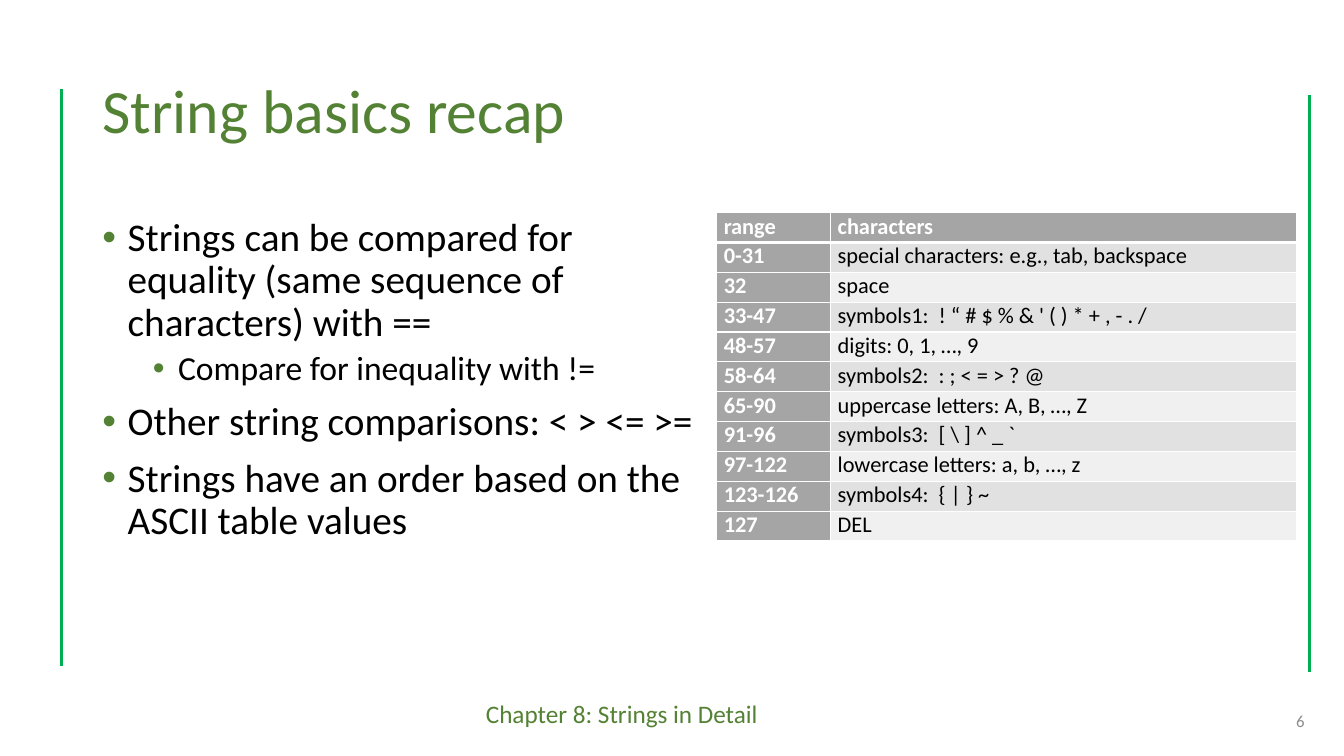
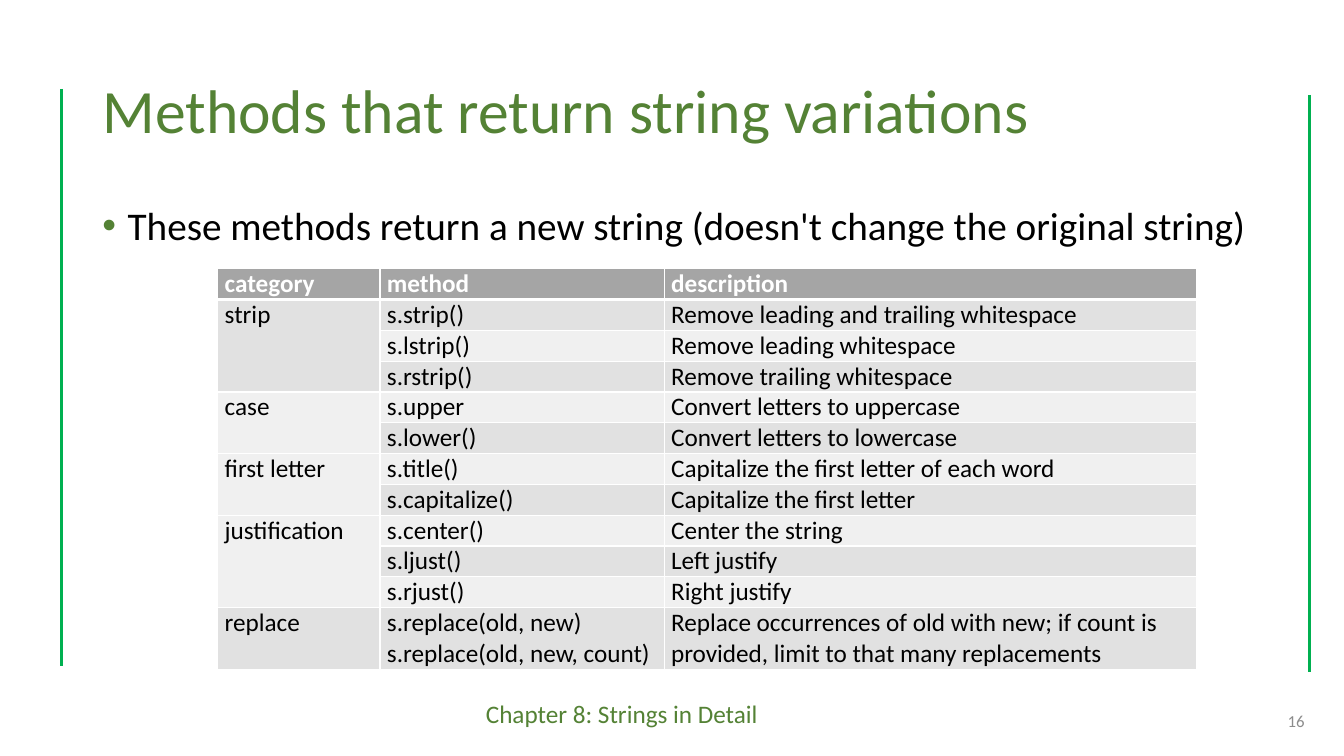
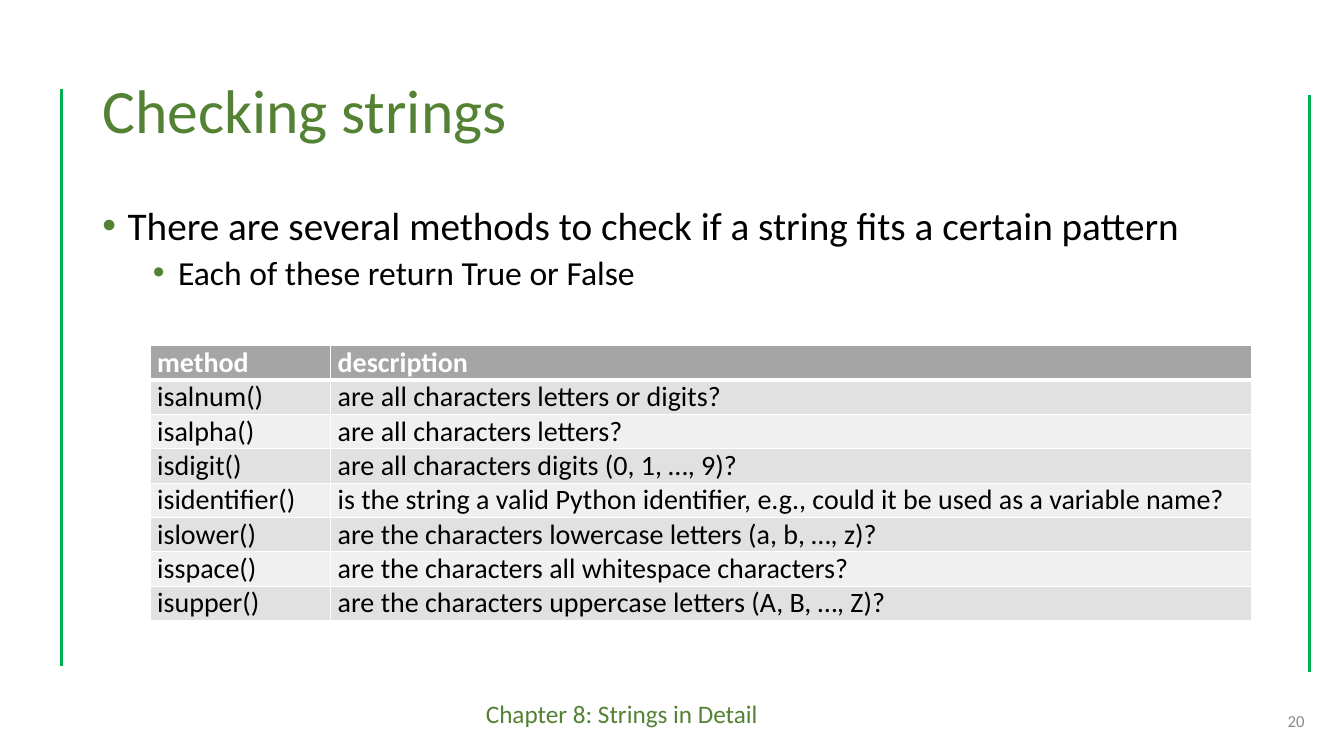
from lxml import etree
from pptx import Presentation
from pptx.dml.color import RGBColor
from pptx.enum.shapes import MSO_CONNECTOR
from pptx.enum.text import MSO_ANCHOR, MSO_AUTO_SIZE, PP_ALIGN
from pptx.oxml.ns import qn
from pptx.util import Pt

STRAIGHT = MSO_CONNECTOR.STRAIGHT
TOP, MIDDLE = MSO_ANCHOR.TOP, MSO_ANCHOR.MIDDLE
LEFT, RIGHT = PP_ALIGN.LEFT, PP_ALIGN.RIGHT
NO_FIT = MSO_AUTO_SIZE.NONE

FONT = "Calibri"
GREEN, RAIL, BLACK, WHITE = "548235", "00B050", "000000", "FFFFFF"
NUMBER_GREY, HEADER = "8C8C8C", "A5A5A5"
BANDS = ("E1E1E1", "F0F0F0")

SLIDE_W, SLIDE_H = 960, 540
TITLE_BOX = (66, 28.75, 828, 104.4)
FOOTER_BOX = (340, 495.4, 285, 29)
NUMBER_BOX = (723, 500.5, 216, 28.75)
RAILS = ((44.2, 63.5), (935.3, 67.8))
RAIL_H = 412.5
FOOTER = "Chapter 8: Strings in Detail"

LEVELS = (
    {"size": 28, "margin": 18, "before": 10},
    {"size": 24, "margin": 54, "before": 5},
)

RECAP_BULLETS = [
    (0, "Strings can be compared for equality (same sequence of characters) with =="),
    (1, "Compare for inequality with !="),
    (0, "Other string comparisons: < > <= >="),
    (0, "Strings have an order based on the ASCII table values"),
]
RECAP_ROWS = [
    ("range", "characters"),
    ("0-31", "special characters: e.g., tab, backspace"),
    ("32", "space"),
    ("33-47", "symbols1:  ! “ # $ % & ' ( ) * + , - . /"),
    ("48-57", "digits: 0, 1, …, 9"),
    ("58-64", "symbols2:  : ; < = > ? @"),
    ("65-90", "uppercase letters: A, B, …, Z"),
    ("91-96", "symbols3:  [ \\ ] ^ _ `"),
    ("97-122", "lowercase letters: a, b, …, z"),
    ("123-126", "symbols4:  { | } ~"),
    ("127", "DEL"),
]
VARIATION_BULLETS = [
    (0, "These methods return a new string (doesn't change the original string)"),
]
VARIATION_ROWS = [
    ("category", "method", "description"),
    ("strip", "s.strip()", "Remove leading and trailing whitespace"),
    ("", "s.lstrip()", "Remove leading whitespace"),
    ("", "s.rstrip()", "Remove trailing whitespace"),
    ("case", "s.upper", "Convert letters to uppercase"),
    ("", "s.lower()", "Convert letters to lowercase"),
    ("first letter", "s.title()", "Capitalize the first letter of each word"),
    ("", "s.capitalize()", "Capitalize the first letter"),
    ("justification", "s.center()", "Center the string"),
    ("", "s.ljust()", "Left justify"),
    ("", "s.rjust()", "Right justify"),
    ("replace", "s.replace(old, new)\ns.replace(old, new, count)",
     "Replace occurrences of old with new; if count is provided, "
     "limit to that many replacements"),
]
CHECK_BULLETS = [
    (0, "There are several methods to check if a string fits a certain pattern"),
    (1, "Each of these return True or False"),
]
CHECK_ROWS = [
    ("method", "description"),
    ("isalnum()", "are all characters letters or digits?"),
    ("isalpha()", "are all characters letters?"),
    ("isdigit()", "are all characters digits (0, 1, …, 9)?"),
    ("isidentifier()", "is the string a valid Python identifier, e.g., "
     "could it be used as a variable name?"),
    ("islower()", "are the characters lowercase letters (a, b, …, z)?"),
    ("isspace()", "are the characters all whitespace characters?"),
    ("isupper()", "are the characters uppercase letters (A, B, …, Z)?"),
]


def rgb(color):
    """Turn a hex string into a colour."""
    return RGBColor.from_string(color)


def add_run(p, text, size, color, bold=False):
    """Add one formatted run to a paragraph."""
    r = p.add_run()
    r.text = text
    r.font.name = FONT
    r.font.size = Pt(size)
    r.font.bold = bold
    r.font.color.rgb = rgb(color)


def place(sp, box, anchor):
    """Move a text shape to its box and set its frame."""
    sp.left, sp.top, sp.width, sp.height = map(Pt, box)
    tf = sp.text_frame
    tf.word_wrap = True
    tf.auto_size = NO_FIT
    tf.vertical_anchor = anchor
    return tf


def add_label(s, box, text, size, color, align=LEFT, anchor=TOP):
    """Add a one-line text box."""
    tf = place(s.shapes.add_textbox(*map(Pt, box)), box, anchor)
    p = tf.paragraphs[0]
    p.alignment = align
    add_run(p, text, size, color)


def add_rail(s, x, y):
    """Draw one vertical green line down from a point."""
    line = s.shapes.add_connector(STRAIGHT, Pt(x), Pt(y), Pt(x), Pt(y + RAIL_H))
    line.line.color.rgb = rgb(RAIL)
    line.line.width = Pt(2.25)
    etree.SubElement(line._element.spPr, qn("a:effectLst"))


def add_bullet(p, level):
    """Give a paragraph its level's indent and green bullet."""
    p.level = level
    p.line_spacing = 0.9
    p.space_before = Pt(LEVELS[level]["before"])
    pPr = p._p.get_or_add_pPr()
    pPr.set("marL", str(Pt(LEVELS[level]["margin"])))
    pPr.set("indent", str(Pt(-18)))
    color = etree.SubElement(pPr, qn("a:buClr"))
    etree.SubElement(color, qn("a:srgbClr"), val=GREEN)
    etree.SubElement(pPr, qn("a:buFont"), typeface="Arial")
    etree.SubElement(pPr, qn("a:buChar"), char="•")


def fill_title(s, box, text):
    """Fill the title placeholder."""
    p = place(s.shapes.title, box, MIDDLE).paragraphs[0]
    p.alignment = LEFT
    p.line_spacing = 0.9
    add_run(p, text, 44, GREEN)


def fill_body(s, box, bullets):
    """Fill the body placeholder with a bulleted list."""
    tf = place(s.placeholders[1], box, TOP)
    for i, (level, text) in enumerate(bullets):
        p = tf.add_paragraph() if i else tf.paragraphs[0]
        add_bullet(p, level)
        add_run(p, text, LEVELS[level]["size"], BLACK)


def set_borders(cell, top, bottom):
    """Draw white borders, with given top and bottom widths."""
    tcPr = cell._tc.get_or_add_tcPr()
    sides = (("L", 1), ("R", 1), ("T", top), ("B", bottom))
    for i, (side, width) in enumerate(sides):
        ln = etree.Element(qn(f"a:ln{side}"), w=str(Pt(width)))
        fill = etree.SubElement(ln, qn("a:solidFill"))
        etree.SubElement(fill, qn("a:srgbClr"), val=WHITE)
        tcPr.insert(i, ln)


def fill_cell(cell, text, size, row, head):
    """Format one table cell and write its lines."""
    cell.margin_left = cell.margin_right = Pt(5)
    cell.margin_top = cell.margin_bottom = Pt(0)
    cell.fill.solid()
    cell.fill.fore_color.rgb = rgb(HEADER if head else BANDS[(row - 1) % 2])
    set_borders(cell, 3 if row == 1 else 1, 3 if row == 0 else 1)
    for i, line in enumerate(text.split("\n") if text else []):
        tf = cell.text_frame
        p = tf.add_paragraph() if i else tf.paragraphs[0]
        add_run(p, line, size, WHITE if head else BLACK, head)


def add_grid(s, left, top, widths, row_h, size, rows, head_col=False):
    """Add a banded table; an empty first cell joins the cell above."""
    frame = s.shapes.add_table(len(rows), len(widths), Pt(left), Pt(top),
                               Pt(sum(widths)), Pt(row_h * len(rows)))
    table = frame.table
    for col, width in zip(table.columns, widths):
        col.width = Pt(width)
    for i, texts in enumerate(rows):
        table.rows[i].height = Pt(row_h * max(t.count("\n") + 1 for t in texts))
        for j, text in enumerate(texts):
            head = i == 0 or (head_col and j == 0)
            fill_cell(table.cell(i, j), text, size, i, head)
    starts = [i for i, texts in enumerate(rows) if texts[0]] + [len(rows)]
    for first, after in zip(starts, starts[1:]):
        if after - first > 1:
            table.cell(first, 0).merge(table.cell(after - 1, 0))


def add_page(prs, number, title, body_box, bullets):
    """Add a slide with rails, footer, title, list and number."""
    s = prs.slides.add_slide(prs.slide_layouts[1])
    add_label(s, FOOTER_BOX, FOOTER, 18, GREEN)
    for x, y in RAILS:
        add_rail(s, x, y)
    fill_title(s, TITLE_BOX, title)
    fill_body(s, body_box, bullets)
    add_label(s, NUMBER_BOX, str(number), 12, NUMBER_GREY, RIGHT, MIDDLE)
    return s


def main():
    """Build the three slides and save them."""
    prs = Presentation()
    prs.slide_width, prs.slide_height = Pt(SLIDE_W), Pt(SLIDE_H)

    s = add_page(prs, 6, "String basics recap", (66, 151.9, 446.4, 284.4),
                 RECAP_BULLETS)
    add_grid(s, 512, 151.9, (81.4, 332.6), 21.34, 16, RECAP_ROWS, head_col=True)

    s = add_page(prs, 16, "Methods that return string variations",
                 (66, 144, 844.6, 342.7), VARIATION_BULLETS)
    add_grid(s, 155.5, 192, (115.9, 203, 380.2), 22, 18, VARIATION_ROWS)

    s = add_page(prs, 20, "Checking strings", (66, 144, 828, 342.7),
                 CHECK_BULLETS)
    add_grid(s, 107.3, 247, (128.9, 658.1), 24.4, 20, CHECK_ROWS)

    prs.save("out.pptx")


if __name__ == "__main__":
    main()
